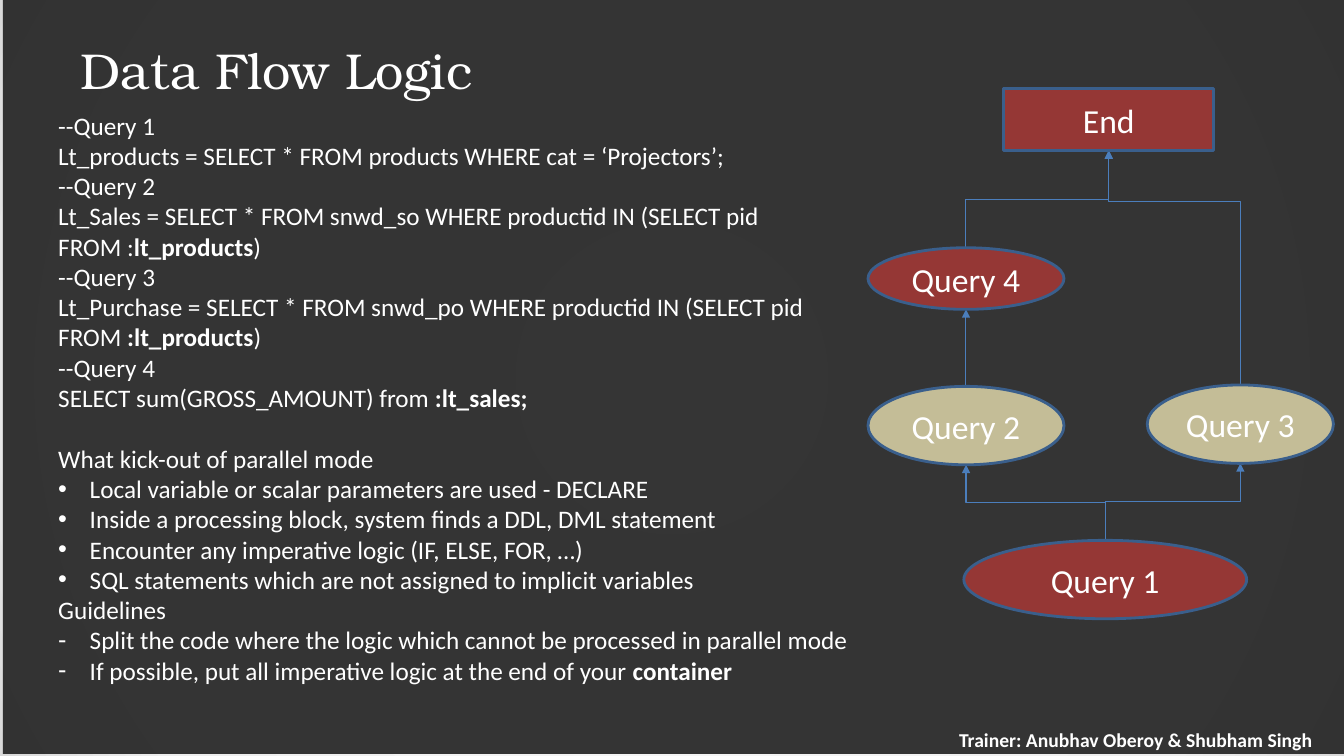
import pptx
import pptx.util
import pptx.dml.color
import pptx.enum.shapes
import pptx.enum.text
import pptx.oxml
import pptx.oxml.ns
from pptx.util import Pt

SHAPES = pptx.enum.shapes.MSO_SHAPE
CONNECTORS = pptx.enum.shapes.MSO_CONNECTOR
ALIGN = pptx.enum.text.PP_ALIGN
ANCHOR = pptx.enum.text.MSO_ANCHOR
WHITE, RED, SAND = "FFFFFF", "953735", "C4BD97"
OUTLINE, ARROW, VEIL = "3A5F8C", "4B7EBC", "262626"
NAMESPACE = pptx.oxml.ns.nsdecls("a")

# Bullet, space before, text; ** switches bold, a newline breaks the line
LINES = [
    ("", 0, "--Query 1"),
    ("", 0, "Lt_products = SELECT * FROM products WHERE cat = ‘Projectors’;"),
    ("", 0, "--Query 2"),
    ("", 0, "Lt_Sales = SELECT * FROM snwd_so WHERE productid IN (SELECT pid\nFROM :**lt_products**)"),
    ("", 0, "--Query 3"),
    ("", 0, "Lt_Purchase = SELECT * FROM snwd_po WHERE productid IN (SELECT pid\nFROM **:lt_products**)"),
    ("", 0, "--Query 4"),
    ("", 0, "SELECT sum(GROSS_AMOUNT) from **:lt_sales;**"),
    ("", 22, "What kick-out of parallel mode"),
    ("•", 0, "Local variable or scalar parameters are used - DECLARE"),
    ("•", 0, "Inside a processing block, system finds a DDL, DML statement"),
    ("•", 0, "Encounter any imperative logic (IF, ELSE, FOR, …)"),
    ("•", 0, "SQL statements which are not assigned to implicit variables"),
    ("", 0, "Guidelines"),
    ("-", 0, "Split the code where the logic which cannot be processed in parallel mode"),
    ("-", 0, "If possible, put all imperative logic at the end of your **container**"),
]

# Name: preset shape, fill, left, top, width, height
NODES = {
    "Query 1": (SHAPES.OVAL, RED, 688.5, 386, 202, 56),
    "Query 2": (SHAPES.OVAL, SAND, 620, 276, 140, 56),
    "Query 3": (SHAPES.OVAL, SAND, 819.5, 275, 133, 56),
    "Query 4": (SHAPES.OVAL, RED, 620, 177, 140, 44),
    "End": (SHAPES.RECTANGLE, RED, 717, 63.5, 150, 44),
}

# Lower node, upper node, share of the height at which the line bends
FLOWS = [
    ("Query 1", "Query 2", 0.5),
    ("Query 1", "Query 3", 0.5),
    ("Query 2", "Query 4", 0.5),
    ("Query 4", "End", 0.5),
    ("Query 3", "End", 0.784),
]


def color(value):
    return pptx.dml.color.RGBColor.from_string(value)


def add_xml(parent, tag, attributes=""):
    child = pptx.oxml.parse_xml(f"<a:{tag} {NAMESPACE} {attributes}/>")
    parent.append(child)
    return child


def style_span(span, size, bold=False, face="Calibri"):
    span.font.size = Pt(size)
    span.font.name = face
    span.font.bold = bold
    span.font.color.rgb = color(WHITE)


def paint_background(page):
    page.background.fill.solid()
    solid = page.element.find(".//" + pptx.oxml.ns.qn("a:solidFill"))
    stops = "".join(
        f'<a:gs pos="{place * 1000}"><a:srgbClr val="{value}"/></a:gs>'
        for place, value in ((0, "FFFFFF"), (81, "EEEEEE"), (100, "D9D9D9")))
    gradient = pptx.oxml.parse_xml(
        f'<a:gradFill {NAMESPACE} rotWithShape="1"><a:gsLst>{stops}</a:gsLst><a:path path="circle">'
        '<a:fillToRect l="50000" t="50000" r="50000" b="50000"/></a:path></a:gradFill>')
    solid.getparent().replace(solid, gradient)


def add_veil(page):
    veil = page.shapes.add_shape(SHAPES.RECTANGLE, Pt(2), Pt(-1.5), Pt(960), Pt(540))
    veil.shadow.inherit = False
    veil.fill.solid()
    veil.fill.fore_color.rgb = color(VEIL)
    veil.line.fill.background()
    shade = veil.element.spPr.find(".//" + pptx.oxml.ns.qn("a:srgbClr"))
    add_xml(shade, "alpha", 'val="93000"')


def add_box(page, left, top, width, height):
    box = page.shapes.add_textbox(Pt(left), Pt(top), Pt(width), Pt(height))
    box.text_frame.word_wrap = True
    return box.text_frame


def add_label(page, place, text, size, bold, face, align):
    frame = add_box(page, *place)
    frame.margin_left = frame.margin_right = Pt(9.6)
    frame.margin_top = frame.margin_bottom = Pt(4.8)
    frame.vertical_anchor = ANCHOR.MIDDLE
    frame.text = text
    para = frame.paragraphs[0]
    para.alignment = align
    style_span(para.runs[0], size, bold, face)


def add_listing(page):
    frame = add_box(page, 34.5, 75, 615.5, 422)
    for index, (bullet, gap, text) in enumerate(LINES):
        para = frame.add_paragraph() if index else frame.paragraphs[0]
        if gap:
            para.space_before = Pt(gap)
        if bullet:
            properties = para._p.get_or_add_pPr()
            properties.set("marL", str(Pt(22.5)))
            properties.set("indent", str(Pt(-22.5)))
            add_xml(properties, "buFont", 'typeface="Arial"')
            add_xml(properties, "buChar", f'char="{bullet}"')
        for part, words in enumerate(text.split("**")):
            for row, piece in enumerate(words.split("\n")):
                if row:
                    para.add_line_break()
                if piece:
                    span = para.add_run()
                    span.text = piece
                    style_span(span, 18, part % 2 == 1)


def add_node(page, name):
    kind, fill, left, top, width, height = NODES[name]
    node = page.shapes.add_shape(kind, Pt(left), Pt(top), Pt(width), Pt(height))
    node.shadow.inherit = False
    node.fill.solid()
    node.fill.fore_color.rgb = color(fill)
    node.line.color.rgb = color(OUTLINE)
    node.line.width = Pt(2)
    node.text_frame.text = name
    node.text_frame.vertical_anchor = ANCHOR.MIDDLE
    para = node.text_frame.paragraphs[0]
    para.alignment = ALIGN.CENTER
    style_span(para.runs[0], 24)


def add_flow(page, lower, upper, bend):
    _, _, left, start_y, width, _ = NODES[lower]
    start_x = left + width / 2
    _, _, left, top, width, height = NODES[upper]
    end_x, end_y = left + width / 2, top + height
    rise, shift = start_y - end_y, end_x - start_x
    if shift:
        # A quarter turn makes the elbow leave and arrive vertically
        left = (start_x + end_x - rise) / 2
        top = (start_y + end_y - abs(shift)) / 2
        flow = page.shapes.add_connector(
            CONNECTORS.ELBOW, Pt(left), Pt(top), Pt(left + rise), Pt(top + abs(shift)))
        frame = flow.element.spPr.find(pptx.oxml.ns.qn("a:xfrm"))
        frame.set("rot", "5400000" if shift > 0 else "16200000")
        frame.set("flipH", "1" if shift > 0 else "0")
        frame.set("flipV", "1")
        guides = flow.element.spPr.find(".//" + pptx.oxml.ns.qn("a:avLst"))
        add_xml(guides, "gd", f'name="adj1" fmla="val {round(bend * 100000)}"')
    else:
        flow = page.shapes.add_connector(
            CONNECTORS.STRAIGHT, Pt(start_x), Pt(start_y), Pt(end_x), Pt(end_y))
    flow.line.color.rgb = color(ARROW)
    flow.line.width = Pt(0.75)
    add_xml(flow.line._get_or_add_ln(), "tailEnd", 'type="triangle"')
    add_xml(flow.element.spPr, "effectLst")


def main():
    deck = pptx.Presentation()
    deck.slide_width, deck.slide_height = Pt(960), Pt(540)
    page = deck.slides.add_slide(deck.slide_layouts[6])
    # Backdrop
    paint_background(page)
    add_veil(page)
    # Title and text
    add_label(page, (48, 21.5, 864, 56), "Data Flow Logic", 36, False, "TeX Gyre Bonum", ALIGN.LEFT)
    add_listing(page)
    # Flow diagram
    for flow in FLOWS:
        add_flow(page, *flow)
    for name in NODES:
        add_node(page, name)
    # Footer
    add_label(page, (666.5, 519, 289.5, 19), "Trainer: Anubhav Oberoy & Shubham Singh",
              14, True, "Calibri", ALIGN.CENTER)
    deck.save("out.pptx")


if __name__ == "__main__":
    main()
